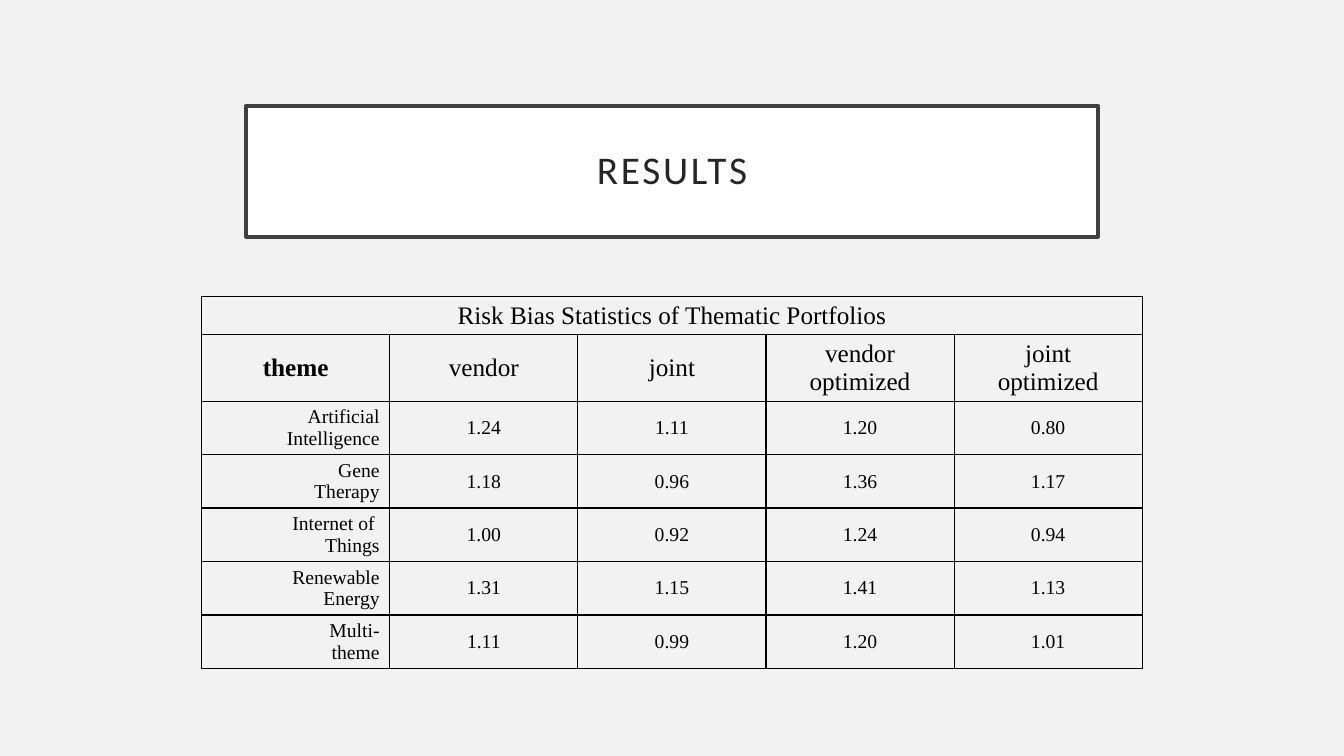
from lxml import etree
from pptx import Presentation
from pptx import util as u
from pptx.dml.color import RGBColor
from pptx.enum import text
from pptx.oxml import ns

THEMES = [
    (["Artificial", "Intelligence"], "1.24", "1.11", "1.20", "0.80"),
    (["Gene", "Therapy"], "1.18", "0.96", "1.36", "1.17"),
    (["Internet of ", "Things"], "1.00", "0.92", "1.24", "0.94"),
    (["Renewable", "Energy"], "1.31", "1.15", "1.41", "1.13"),
    (["Multi-", "theme"], "1.11", "0.99", "1.20", "1.01"),
]
HEADINGS = ["theme", "vendor", "joint", "vendor optimized", ["joint", "optimized"]]
ROW_HEIGHTS = [0.38, 0.66] + [0.53] * len(THEMES)
COLUMNS = len(HEADINGS)


def add_span(para, words, font, size, color, bold=False):
    span = para.add_run()
    span.text = words
    span.font.name, span.font.size, span.font.bold = font, u.Pt(size), bold
    span.font.color.rgb = RGBColor.from_string(color)
    return span


def add_borders(cell, color, points):
    properties = cell._tc.get_or_add_tcPr()
    for side in ("a:lnL", "a:lnR", "a:lnT", "a:lnB"):
        line = etree.SubElement(properties, ns.qn(side), w=str(u.Pt(points)))
        fill = etree.SubElement(line, ns.qn("a:solidFill"))
        etree.SubElement(fill, ns.qn("a:srgbClr"), val=color)


deck = Presentation()
deck.slide_width, deck.slide_height = u.Inches(13.33), u.Inches(7.5)
page = deck.slides.add_slide(deck.slide_layouts[5])
page.background.fill.solid()
page.background.fill.fore_color.rgb = RGBColor.from_string("F2F2F2")

# Title
title = page.shapes.title
title.left, title.top = u.Inches(2.44), u.Inches(1.05)
title.width, title.height = u.Inches(8.45), u.Inches(1.3)
title.fill.solid()
title.fill.fore_color.rgb = RGBColor.from_string("FFFFFF")
title.line.color.rgb = RGBColor.from_string("404040")
title.line.width = u.Pt(2.5)
frame = title.text_frame
frame.word_wrap = True
frame.auto_size = text.MSO_AUTO_SIZE.NONE
frame.vertical_anchor = text.MSO_ANCHOR.MIDDLE
frame.margin_left = frame.margin_right = u.Inches(0.2)
frame.margin_top = frame.margin_bottom = u.Inches(0.2)
para = frame.paragraphs[0]
para.alignment = text.PP_ALIGN.CENTER
para.line_spacing = 0.9
span = add_span(para, "RESULTS", "Calibri", 28, "262626")
span.font._element.set("spc", "200")

# Table
rows = [["Risk Bias Statistics of Thematic Portfolios"] + [""] * (COLUMNS - 1), HEADINGS, *THEMES]
table = page.shapes.add_table(
    len(rows), COLUMNS, u.Inches(2), u.Inches(2.94), u.Inches(9.33), u.Inches(sum(ROW_HEIGHTS))
).table
table.first_row = table.horz_banding = False
for row, height in zip(table.rows, ROW_HEIGHTS):
    row.height = u.Inches(height)
table.cell(0, 0).merge(table.cell(0, COLUMNS - 1))

for r, row in enumerate(rows):
    for c, entry in enumerate(row):
        cell = table.cell(r, c)
        add_borders(cell, "000000", 1)
        cell.fill.background()
        cell.vertical_anchor = text.MSO_ANCHOR.MIDDLE
        if cell.is_spanned:
            continue
        lines = entry if isinstance(entry, list) else [entry]
        for i, words in enumerate(lines):
            para = cell.text_frame.add_paragraph() if i else cell.text_frame.paragraphs[0]
            is_theme = r > 1 and c == 0
            para.alignment = text.PP_ALIGN.RIGHT if is_theme else text.PP_ALIGN.CENTER
            size = 14 if r > 1 else 18
            add_span(para, words, "Times New Roman", size, "000000", words == "theme" and r == 1)

deck.save("out.pptx")
